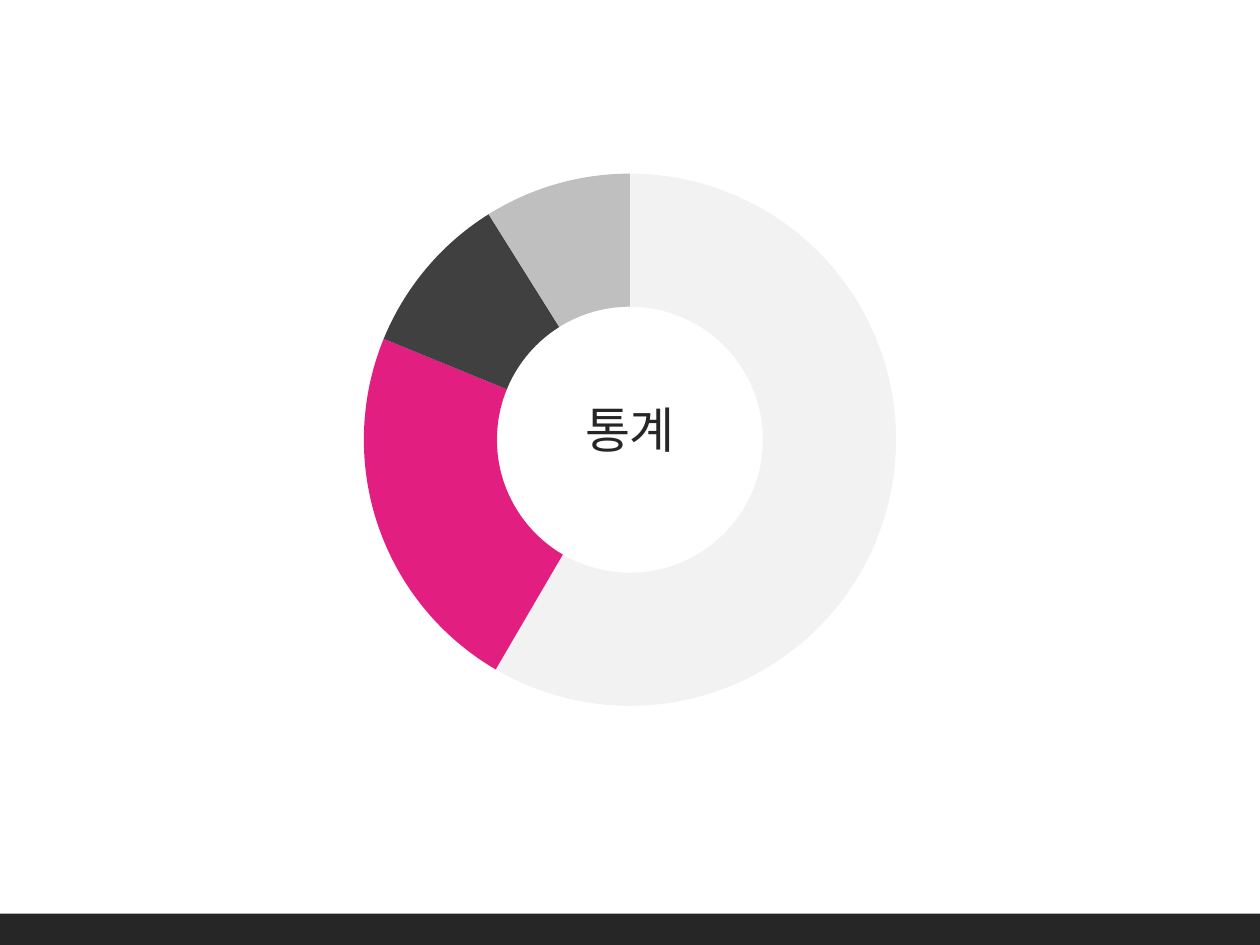
"""Build a slide with a ring chart, a label in its centre and a footer bar."""
from lxml import etree
from pptx import Presentation
from pptx import util as u
from pptx.chart import data
from pptx.dml.color import RGBColor
from pptx.enum import chart as kinds, shapes, text
from pptx.oxml import ns

PALE = RGBColor(0xF2, 0xF2, 0xF2)
PINK = RGBColor(0xE2, 0x1E, 0x80)
DARK = RGBColor(0x40, 0x40, 0x40)
GREY = RGBColor(0xBF, 0xBF, 0xBF)
INK = RGBColor(0x26, 0x26, 0x26)
BLACK = RGBColor(0, 0, 0)
SANS = "Noto Sans CJK KR"

deck = Presentation()
deck.slide_width, deck.slide_height = u.Inches(10), u.Inches(7.5)
wide, high = deck.slide_width, deck.slide_height
slide = deck.slides.add_slide(deck.slide_layouts[6])

stats = data.CategoryChartData()
stats.categories = ["1", "2", "3", "4"]
stats.add_series("Series 1", (59, 23, 10, 9))
ring_w, ring_h = u.Inches(5.78), u.Inches(4.5)
ring = slide.shapes.add_chart(
    kinds.XL_CHART_TYPE.DOUGHNUT, (wide - ring_w) // 2, u.Inches(1.24),
    ring_w, ring_h, stats).chart
ring.has_legend = False
ring.has_title = False
ring.font.size = u.Pt(18)
ring.font.name = SANS
ring.font.color.rgb = BLACK
plot = ring.plots[0]
plot.vary_by_categories = True
plot._element.find(ns.qn("c:holeSize")).set("val", "78")
for spot, tone in enumerate((PALE, PINK, DARK, GREY)):
    part = plot.series[0].points[spot].format
    part.fill.solid()
    part.fill.fore_color.rgb = tone
    part.line.fill.background()

label_w = u.Inches(0.99)
label = slide.shapes.add_textbox(
    (wide - label_w) // 2, u.Inches(3.12), label_w, u.Inches(0.57))
frame = label.text_frame
frame.word_wrap = False
frame.auto_size = text.MSO_AUTO_SIZE.SHAPE_TO_FIT_TEXT
line = frame.paragraphs[0]
line.alignment = text.PP_ALIGN.CENTER
run = line.add_run()
run.text = "통계"
run.font.size = u.Pt(28)
run.font.name = "Montserrat"
run.font.color.rgb = INK
etree.SubElement(run.font._element, ns.qn("a:ea")).set("typeface", SANS)

bar_h = high // 30
bar = slide.shapes.add_shape(
    shapes.MSO_SHAPE.RECTANGLE, 0, high - bar_h, wide, bar_h)
bar.shadow.inherit = False
bar.fill.solid()
bar.fill.fore_color.rgb = INK
bar.line.fill.background()

deck.save("out.pptx")
